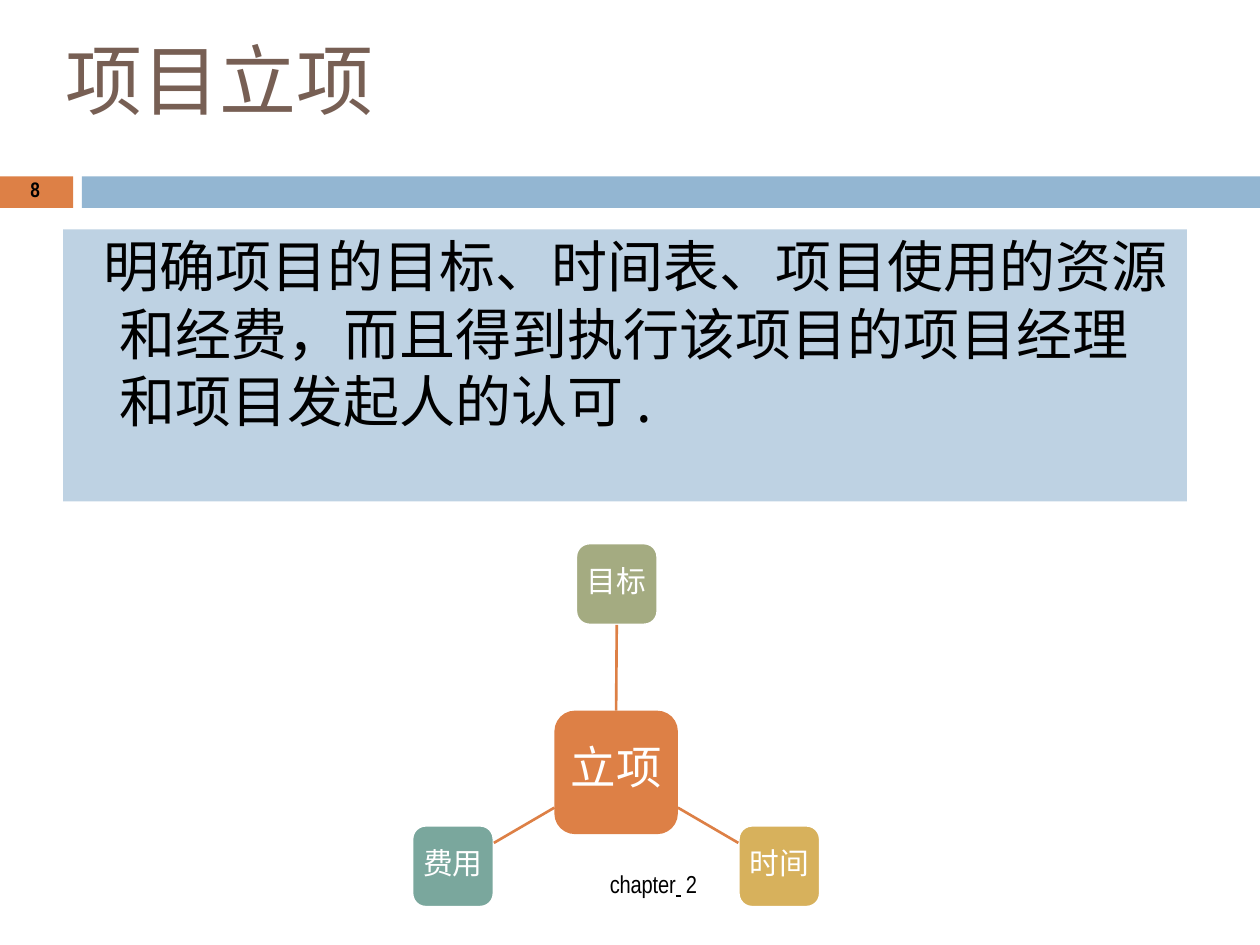
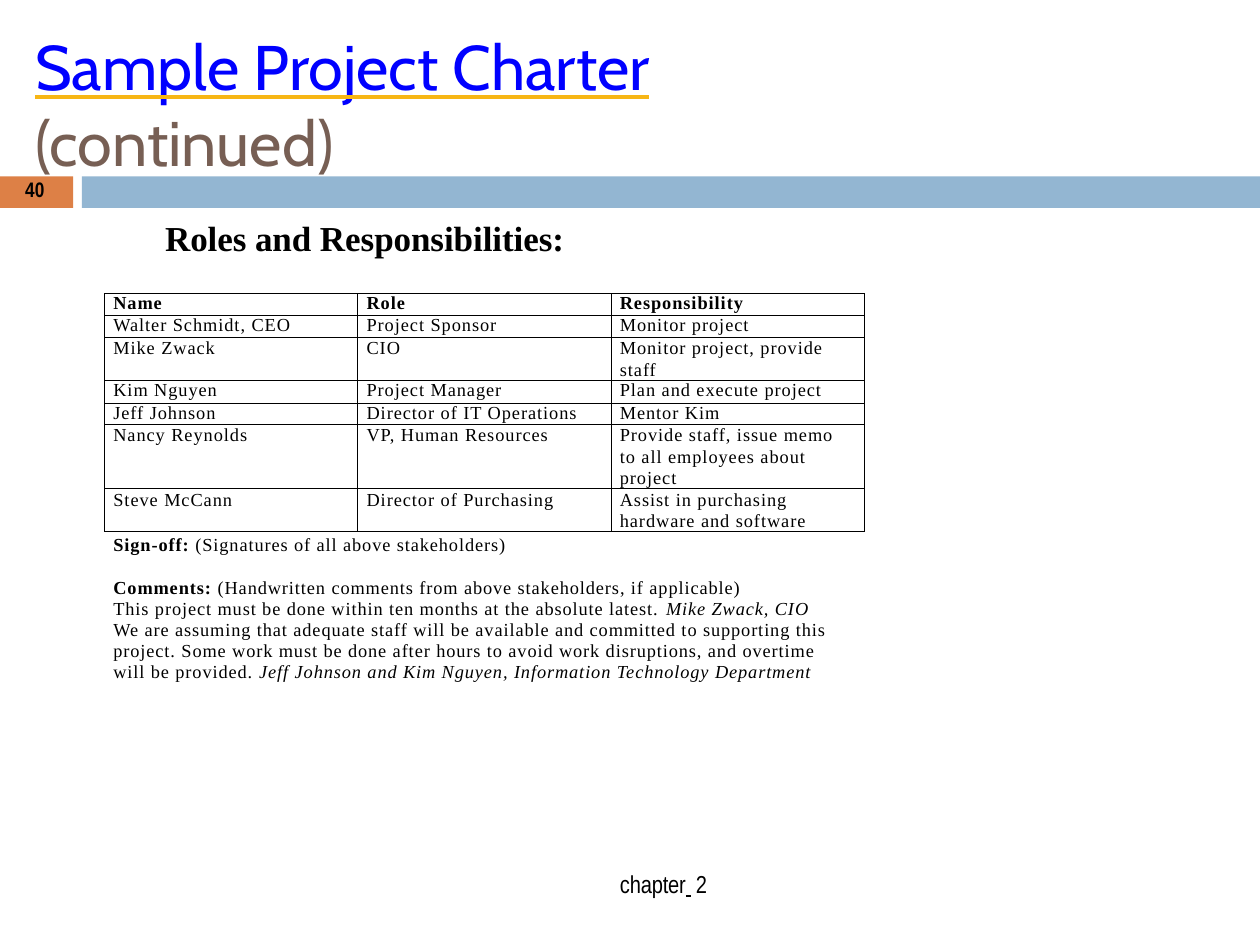
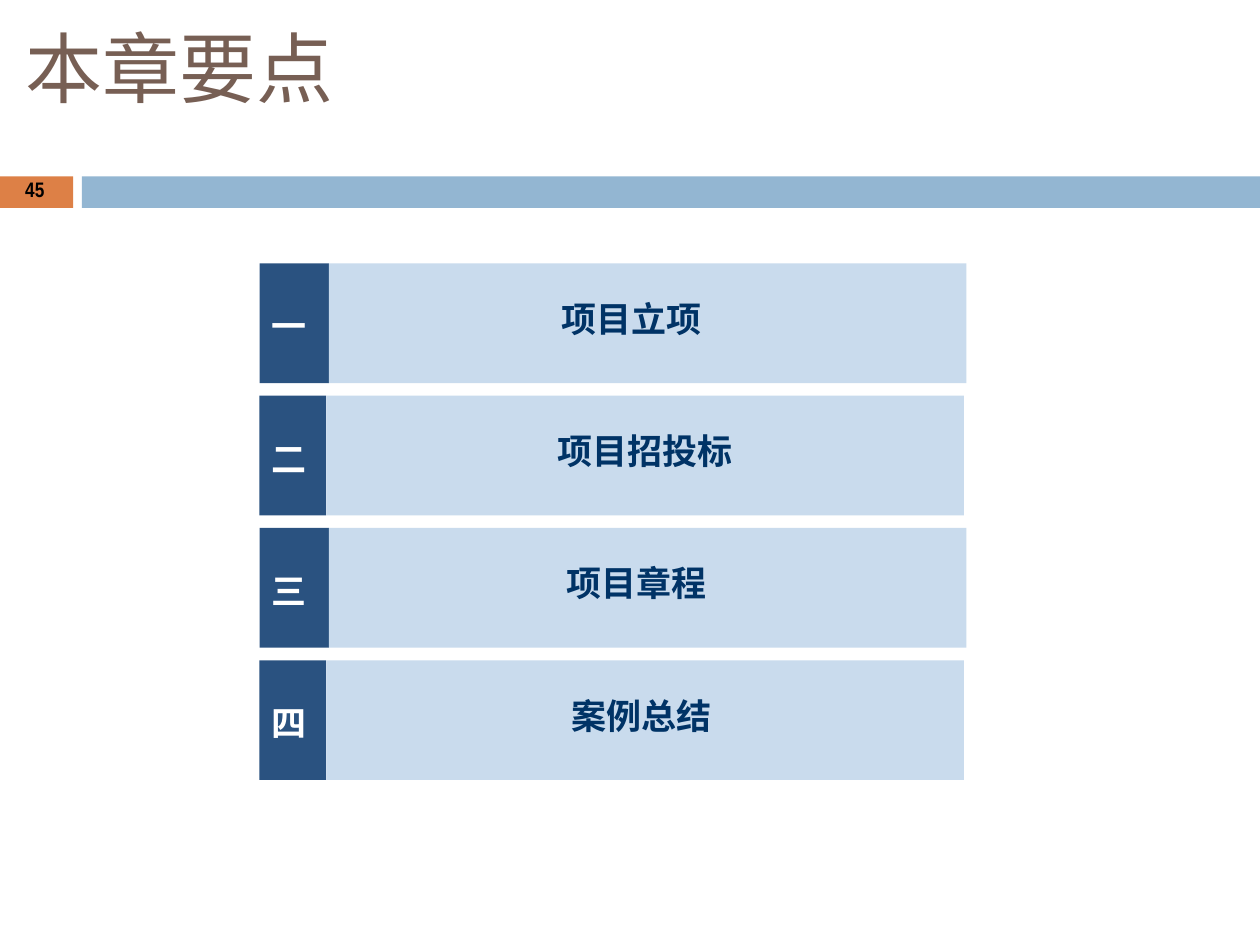
"""Build three project-initiation slides: definition, charter roles and chapter summary."""
from dataclasses import dataclass

from lxml import etree
from pptx import Presentation
from pptx.dml.color import RGBColor
from pptx.enum.shapes import MSO_CONNECTOR, MSO_SHAPE
from pptx.enum.text import MSO_ANCHOR, PP_ALIGN
from pptx.oxml.ns import qn
from pptx.util import Inches, Pt

RECT = MSO_SHAPE.RECTANGLE
ROUNDED = MSO_SHAPE.ROUNDED_RECTANGLE
STRAIGHT = MSO_CONNECTOR.STRAIGHT
TOP, MIDDLE = MSO_ANCHOR.TOP, MSO_ANCHOR.MIDDLE
LEFT, CENTER = PP_ALIGN.LEFT, PP_ALIGN.CENTER


@dataclass(frozen=True)
class Theme:
    orange: str = "DD8046"
    blue: str = "93B6D2"
    pale_blue: str = "BED2E3"
    brown: str = "775F54"
    green: str = "A4AB81"
    gold: str = "D7B15C"
    teal: str = "7AA79D"
    navy: str = "2A5280"
    ice: str = "C9DBED"
    ink: str = "003366"
    link: str = "0000FF"
    link_line: str = "F7B615"
    black: str = "000000"
    white: str = "FFFFFF"
    chinese: str = "Noto Sans CJK SC"
    body_font: str = "Noto Sans CJK JP"
    latin: str = "Cabin"
    narrow: str = "Arial Narrow"
    serif: str = "Times New Roman"
    title: float = 44
    latin_title: float = 36
    body: float = 32
    hub: float = 26
    heading: float = 20
    node: float = 17
    footer: float = 14
    number: float = 12
    small: float = 10.5


THEME = Theme()


def write(paragraph, text, font, size, color, bold=False, italic=False, spacing=0, underline=None):
    for index, line in enumerate(text.split("\n")):
        if index:
            paragraph.add_line_break()
        run = paragraph.add_run()
        run.text = line
        run.font.name, run.font.size = font, Pt(size)
        run.font.bold, run.font.italic = bold, italic
        run.font.color.rgb = RGBColor.from_string(color)
        properties = run.font._element
        properties.set("spc", str(round(spacing * 100)))
        latin = properties.find(qn("a:latin"))
        east_asian = etree.Element(qn("a:ea"), typeface=font)
        latin.addnext(east_asian)
        if underline:
            run.font.underline = True
            line_fill = etree.Element(qn("a:uFill"))
            solid = etree.SubElement(line_fill, qn("a:solidFill"))
            etree.SubElement(solid, qn("a:srgbClr"), val=underline)
            latin.addprevious(line_fill)


def add_block(slide, box, fill=None, kind=RECT, outline=None, insets=(0, 0.01, 0, 0),
              anchor=TOP, align=LEFT, wrap=True):
    place = [Inches(value) for value in box]
    if fill:
        block = slide.shapes.add_shape(kind, *place)
        block.shadow.inherit = False
        block.fill.solid()
        block.fill.fore_color.rgb = RGBColor.from_string(fill)
        block.line.fill.background()
        if outline:
            block.line.color.rgb = RGBColor.from_string(outline)
            block.line.width = Pt(1.56)
    else:
        block = slide.shapes.add_textbox(*place)
    frame = block.text_frame
    frame.word_wrap, frame.vertical_anchor = wrap, anchor
    (frame.margin_left, frame.margin_top,
     frame.margin_right, frame.margin_bottom) = [Inches(value) for value in insets]
    frame.paragraphs[0].alignment = align
    return block, frame.paragraphs[0]


deck = Presentation()
deck.slide_width, deck.slide_height = Inches(10), Inches(7.5)

pages = [
    ("8", 0.24, (0.52, 0.25, 2.48, 0.76), (4.84, 6.89),
     [("项目立项", THEME.chinese, THEME.title, THEME.brown, None)]),
    ("40", 0.2, (0.28, 0.21, 6.94, 0.63), (4.92, 6.89),
     [("Sample Project Charter", THEME.latin, THEME.latin_title, THEME.link, THEME.link_line),
      (" (continued)", THEME.latin, THEME.latin_title, THEME.brown, None)]),
    ("45", 0.2, (0.2, 0.15, 2.48, 0.76), None,
     [("本章要点", THEME.chinese, THEME.title, THEME.brown, None)]),
]
slides = []
for number, number_left, title_box, footer_at, title_runs in pages:
    slide = deck.slides.add_slide(deck.slide_layouts[6])
    slides.append(slide)
    add_block(slide, (0, 1.4, 0.58, 0.25), THEME.orange)
    add_block(slide, (0.65, 1.4, 9.35, 0.25), THEME.blue)
    title = add_block(slide, title_box, wrap=title_box[2] > 5)[1]
    for text, font, size, color, underline in title_runs:
        write(title, text, font, size, color, underline=underline)
    page_number = add_block(slide, (number_left, 1.39, 0.18, 0.23), wrap=False)[1]
    write(page_number, number, THEME.narrow, THEME.number, THEME.black, bold=True)
    if footer_at:
        footer = add_block(slide, (*footer_at, 0.82, 0.26), wrap=False)[1]
        footer_style = (THEME.narrow, THEME.footer, THEME.black)
        write(footer, "chapter", *footer_style, spacing=-0.1)
        write(footer, " ", *footer_style, spacing=2.5, underline=THEME.black)
        write(footer, "2", *footer_style)

definition_slide, charter_slide, summary_slide = slides

definition = add_block(definition_slide, (0.5, 1.82, 8.92, 2.16), THEME.pale_blue,
                       insets=(0, 0.02, 0, 0))[1]
definition_indent = definition._p.get_or_add_pPr()
definition_indent.set("marL", str(Inches(0.45)))
definition_indent.set("indent", str(Inches(-0.13)))
write(definition, "明确项目的目标、时间表、项目使用的资源\n和经费，而且得到执行该项目的项目经理\n"
      "和项目发起人的认可 .", THEME.body_font, THEME.body, THEME.black)

hub, hub_text = add_block(definition_slide, (4.4, 5.64, 0.98, 0.98), THEME.orange, ROUNDED,
                          insets=(0, 0, 0, 0.1), anchor=MIDDLE, align=CENTER)
write(hub_text, "立项", THEME.chinese, THEME.hub, THEME.white)
factors = [
    ("目标", 4.57, 4.31, THEME.green, (4.89, 5.64, 4.89, 4.96)),
    ("时间", 5.86, 6.55, THEME.gold, (5.38, 6.41, 5.86, 6.69)),
    ("费用", 3.27, 6.55, THEME.teal, (4.4, 6.41, 3.92, 6.69)),
]
for label, left, top, color, ends in factors:
    factor, factor_text = add_block(definition_slide, (left, top, 0.65, 0.65), color, ROUNDED,
                                    THEME.white, (0, 0, 0, 0.06), MIDDLE, CENTER)
    write(factor_text, label, THEME.chinese, THEME.node, THEME.white)
    spoke = definition_slide.shapes.add_connector(STRAIGHT, *[Inches(end) for end in ends])
    spoke.line.color.rgb = RGBColor.from_string(THEME.orange)
    spoke.line.width = Pt(1.5)
    etree.SubElement(spoke._element.spPr, qn("a:effectLst"))
    if ends[0] == ends[2]:
        spoke.begin_connect(hub, 0)
        spoke.end_connect(factor, 2)

roles_heading = add_block(charter_slide, (1.31, 1.71, 3.21, 0.36), wrap=False)[1]
write(roles_heading, "Roles and Responsibilities:", THEME.serif, THEME.heading, THEME.black,
      bold=True, spacing=-0.05)

roles = [
    ("Name", "Role", "Responsibility", 0.17),
    ("Walter Schmidt, CEO", "Project Sponsor", "Monitor project", 0.18),
    ("Mike Zwack", "CIO", "Monitor project, provide\nstaff", 0.34),
    ("Kim Nguyen", "Project Manager", "Plan and execute project", 0.18),
    ("Jeff Johnson", "Director of IT Operations", "Mentor Kim", 0.17),
    ("Nancy Reynolds", "VP, Human Resources",
     "Provide staff, issue memo\nto all employees about\nproject", 0.51),
    ("Steve McCann", "Director of Purchasing", "Assist in purchasing\nhardware and software", 0.34),
]
role_table = charter_slide.shapes.add_table(
    len(roles), 3, Inches(0.83), Inches(2.33), Inches(6.04), Inches(1.9)).table
for column in role_table.columns:
    column.width = Inches(2.01)
for row_index, (*entries, height) in enumerate(roles):
    role_table.rows[row_index].height = Inches(height)
    for column_index, entry in enumerate(entries):
        cell = role_table.cell(row_index, column_index)
        cell.fill.background()
        cell.margin_left = Inches(0.07)
        cell.margin_top = cell.margin_right = cell.margin_bottom = 0
        entry_text = cell.text_frame.paragraphs[0]
        entry_text.line_spacing = Pt(12.2 if height > 0.2 else 11.5)
        write(entry_text, entry, THEME.serif, THEME.small, THEME.black,
              bold=row_index == 0, spacing=0.57)
        cell_properties = cell._tc.get_or_add_tcPr()
        for order, side in enumerate(("lnL", "lnR", "lnT", "lnB")):
            border = etree.Element(qn(f"a:{side}"), w=str(Pt(0.5)))
            border_fill = etree.SubElement(border, qn("a:solidFill"))
            etree.SubElement(border_fill, qn("a:srgbClr"), val=THEME.black)
            cell_properties.insert(order, border)

remarks = [
    (0, [("Sign-off: ", True, False), ("(Signatures of all above stakeholders)", False, False)]),
    (12.4, [("Comments: ", True, False),
            ("(Handwritten comments from above stakeholders, if applicable)", False, False)]),
    (0, [("This project must be done within ten months at the absolute latest. ", False, False),
         ("Mike Zwack, CIO\n", False, True),
         ("We are assuming that adequate staff will be available and committed to supporting "
          "this\nproject. Some work must be done after hours to avoid work disruptions, and "
          "overtime\nwill be provided. ", False, False),
         ("Jeff Johnson and Kim Nguyen, Information Technology Department", False, True)]),
]
remarks_block, remark = add_block(charter_slide, (0.9, 4.23, 5.8, 1.22))
for index, (space_before, parts) in enumerate(remarks):
    if index:
        remark = remarks_block.text_frame.add_paragraph()
        remark.space_before = Pt(space_before)
    remark.line_spacing = Pt(12)
    for text, bold, italic in parts:
        write(remark, text, THEME.serif, THEME.small, THEME.black, bold, italic, 0.55)

chapters = [
    ("一", "项目立项", 0.55, 0.25),
    ("二", "项目招投标", 0.53, 0),
    ("三", "项目章程", 0.55, 0.17),
    ("四", "案例总结", 0.53, 0.06),
]
for index, (numeral, topic, numeral_width, right_inset) in enumerate(chapters):
    top = 2.09 + index * 1.05
    numeral_text = add_block(summary_slide, (2.06, top, numeral_width, 0.95), THEME.navy,
                             insets=(0.1, 0.04, 0, 0), anchor=MIDDLE)[1]
    topic_text = add_block(summary_slide, (2.06 + numeral_width, top, 5.06, 0.95), THEME.ice,
                           insets=(0, 0, right_inset, 0.08), anchor=MIDDLE, align=CENTER)[1]
    write(numeral_text, numeral, THEME.chinese, THEME.heading, THEME.white, bold=True)
    write(topic_text, topic, THEME.chinese, THEME.heading, THEME.ink, bold=True)

deck.save("out.pptx")
